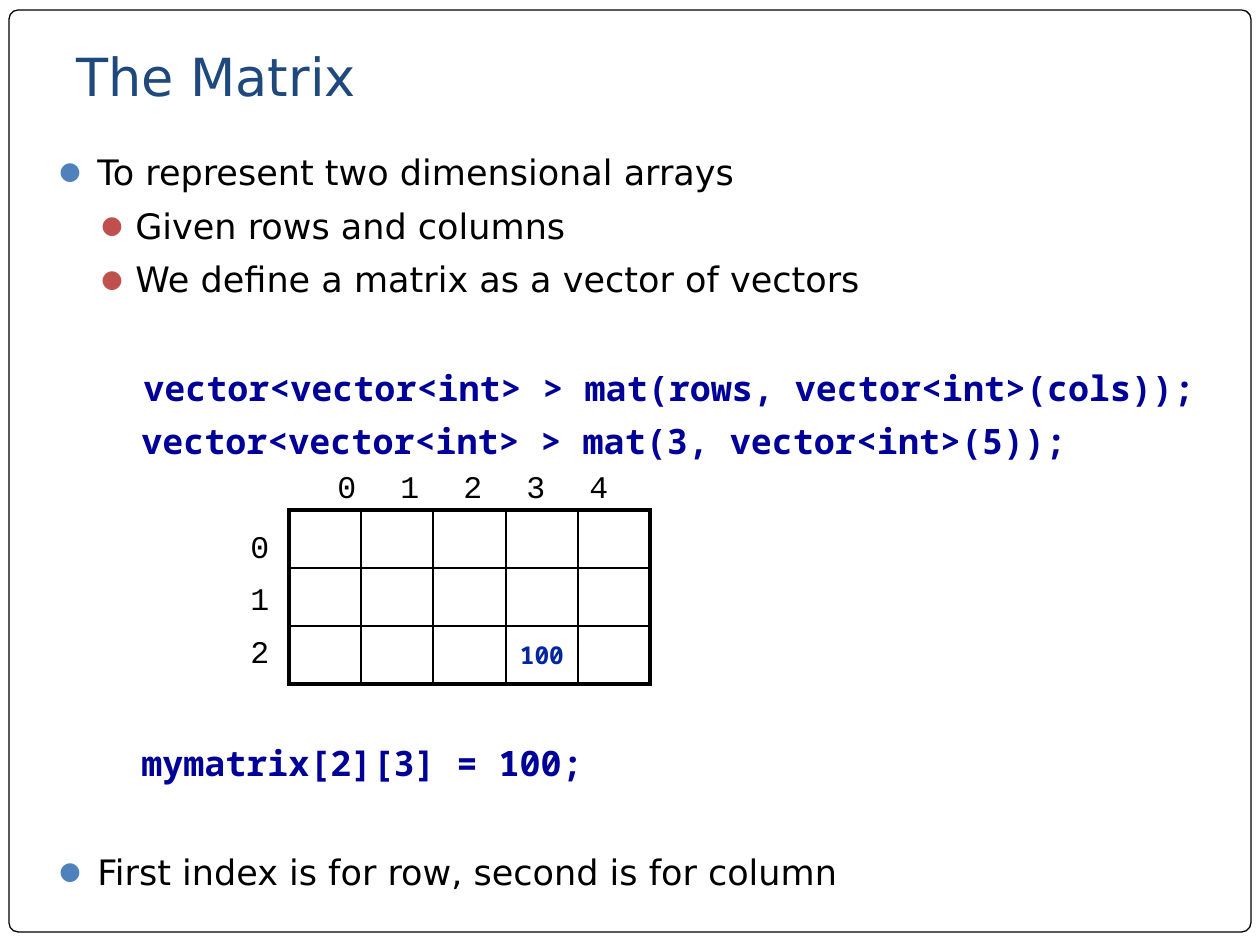
from dataclasses import dataclass

import pptx
import pptx.dml.color
import pptx.enum.shapes
import pptx.enum.text
import pptx.oxml
import pptx.oxml.ns
import pptx.util
from lxml import etree

RGBColor = pptx.dml.color.RGBColor
Anchor = pptx.enum.text.MSO_ANCHOR
Pt = pptx.util.Pt

PX_PER_INCH = 126
BLACK = RGBColor(0x00, 0x00, 0x00)
WHITE = RGBColor(0xFF, 0xFF, 0xFF)
TITLE_BLUE = RGBColor(0x1F, 0x49, 0x7D)
BULLET_BLUE = RGBColor(0x4F, 0x81, 0xBD)
BULLET_RED = RGBColor(0xC0, 0x50, 0x4D)
CODE_BLUE = RGBColor(0x00, 0x00, 0x99)
VALUE_BLUE = RGBColor(0x00, 0x27, 0x9F)


@dataclass(frozen=True)
class Style:
    font: str
    size: int
    color: RGBColor
    bold: bool = False


@dataclass(frozen=True)
class Line:
    text: str
    style: Style
    before: float = 0
    left: int = 0
    hanging: int = 0
    bullet: RGBColor | None = None
    spacing: float | pptx.util.Length | None = None
    tabs: tuple[int, ...] = ()


TITLE = Style("DejaVu Sans", 30, TITLE_BLUE)
BODY = Style("DejaVu Sans", 20, BLACK)
CODE = Style("Noto Sans Mono", 20, CODE_BLUE, True)
VALUE = Style("Noto Sans Mono", 14, VALUE_BLUE, True)
INDEX = Style("Courier New", 18, BLACK)

COLUMN_WIDTHS = (72, 72, 73, 72, 72)
ROW_HEIGHTS = (58, 58, 58)
MATRIX_VALUES = {(2, 3): "100"}
COLUMN_LABEL_TABS = (38, 113, 189, 265, 321)
BODY_SPACING = Pt(27)


def px(length: int) -> pptx.util.Emu:
    return pptx.util.Emu(round(length * 914400 / PX_PER_INCH))


def topic(text: str, before: float) -> Line:
    return Line(text, BODY, before, 38, 38, BULLET_BLUE, BODY_SPACING)


def subtopic(text: str) -> Line:
    return Line(text, BODY, 3.6, 76, 34, BULLET_RED, BODY_SPACING)


def code(text: str, before: float, left: int = 82) -> Line:
    return Line(text, CODE, before, left, spacing=BODY_SPACING)


BODY_LINES = (
    topic("To represent two dimensional arrays", 1.5),
    subtopic("Given rows and columns"),
    subtopic("We define a matrix as a vector of vectors"),
    code("vector<vector<int> > mat(rows, vector<int>(cols));", 35, 84),
    code("vector<vector<int> > mat(3, vector<int>(5));", 3.6),
    code("mymatrix[2][3] = 100;", 157),
    topic("First index is for row, second is for column", 35),
)
COLUMN_LABELS = Line(
    "".join(f"\t{column}" for column in range(len(COLUMN_WIDTHS))),
    INDEX,
    tabs=COLUMN_LABEL_TABS,
)
ROW_LABELS = tuple(
    Line(str(row), INDEX, 11 if row else 0, spacing=0.89)
    for row in range(len(ROW_HEIGHTS))
)


def add_child(parent: etree._Element, tag: str, **attributes: str) -> etree._Element:
    child = etree.SubElement(parent, pptx.oxml.ns.qn(tag))
    for name, value in attributes.items():
        child.set(name, value)
    return child


def set_font(para, style: Style) -> None:
    para.font.name = style.font
    para.font.size = Pt(style.size)
    para.font.bold = style.bold
    para.font.color.rgb = style.color


def write_line(para, line: Line) -> None:
    para.add_run().text = line.text
    set_font(para, line.style)
    para.space_before = Pt(line.before)
    if line.spacing is not None:
        para.line_spacing = line.spacing
    # Appended in schema order, with the default font moved back to the end.
    properties = para._p.get_or_add_pPr()
    default_font = properties.find(pptx.oxml.ns.qn("a:defRPr"))
    properties.set("marL", str(px(line.left)))
    properties.set("indent", str(-px(line.hanging)))
    if line.bullet is not None:
        bullet_color = add_child(properties, "a:buClr")
        add_child(bullet_color, "a:srgbClr", val=str(line.bullet))
        add_child(properties, "a:buSzPct", val="70000")
        add_child(properties, "a:buFont", typeface="DejaVu Sans")
        add_child(properties, "a:buChar", char="●")
    if line.tabs:
        tab_list = add_child(properties, "a:tabLst")
        for tab in line.tabs:
            add_child(tab_list, "a:tab", pos=str(px(tab)), algn="l")
    properties.append(default_font)


def add_text(page, left: int, top: int, width: int, height: int,
             lines: tuple[Line, ...], anchor=Anchor.TOP, bottom: int = 6) -> None:
    box = page.shapes.add_textbox(px(left), px(top), px(width), px(height))
    frame = box.text_frame
    frame.word_wrap = True
    frame.vertical_anchor = anchor
    frame.margin_bottom = px(bottom)
    for number, line in enumerate(lines):
        para = frame.add_paragraph() if number else frame.paragraphs[0]
        write_line(para, line)


def add_frame(page) -> None:
    frame = page.shapes.add_shape(
        pptx.enum.shapes.MSO_SHAPE.ROUNDED_RECTANGLE,
        px(9), px(10), px(1242), px(922))
    frame.adjustments[0] = 0.01
    frame.shadow.inherit = False
    frame.fill.solid()
    frame.fill.fore_color.rgb = WHITE
    frame.line.color.rgb = BLACK
    frame.line.width = Pt(0.75)


def set_borders(cell, row: int, column: int) -> None:
    """Draw thin inner borders and a thick border around the whole matrix."""
    outer_sides = {
        "a:lnL": column == 0,
        "a:lnR": column == len(COLUMN_WIDTHS) - 1,
        "a:lnT": row == 0,
        "a:lnB": row == len(ROW_HEIGHTS) - 1,
    }
    properties = cell._tc.get_or_add_tcPr()
    for position, (side, is_outer) in enumerate(outer_sides.items()):
        border = add_child(properties, side, w=str(Pt(2.25 if is_outer else 1)))
        add_child(add_child(border, "a:solidFill"), "a:srgbClr", val=str(BLACK))
        properties.insert(position, border)


def add_matrix(page, left: int, top: int) -> None:
    table = page.shapes.add_table(
        len(ROW_HEIGHTS), len(COLUMN_WIDTHS), px(left), px(top),
        px(sum(COLUMN_WIDTHS)), px(sum(ROW_HEIGHTS))).table
    table.first_row = table.horz_banding = False
    for column, width in enumerate(COLUMN_WIDTHS):
        table.columns[column].width = px(width)
    for row, height in enumerate(ROW_HEIGHTS):
        table.rows[row].height = px(height)
        for column in range(len(COLUMN_WIDTHS)):
            cell = table.cell(row, column)
            cell.fill.background()
            cell.margin_left = cell.margin_right = 0
            cell.margin_top = cell.margin_bottom = 0
            cell.vertical_anchor = Anchor.MIDDLE
            set_borders(cell, row, column)
            if (row, column) in MATRIX_VALUES:
                cell.text = MATRIX_VALUES[row, column]
                para = cell.text_frame.paragraphs[0]
                para.alignment = pptx.enum.text.PP_ALIGN.CENTER
                set_font(para, VALUE)


def main() -> None:
    deck = pptx.Presentation()
    deck.slide_width, deck.slide_height = px(1260), px(945)
    page = deck.slides.add_slide(deck.slide_layouts[6])
    add_frame(page)
    add_text(page, 64, 38, 1133, 82, (Line("The Matrix", TITLE),), Anchor.BOTTOM, 13)
    add_text(page, 47, 139, 1186, 772, BODY_LINES)
    add_matrix(page, 289, 510)
    add_text(page, 262, 461, 383, 50, (COLUMN_LABELS,))
    add_text(page, 238, 525, 44, 152, ROW_LABELS)
    deck.save("out.pptx")


if __name__ == "__main__":
    main()
